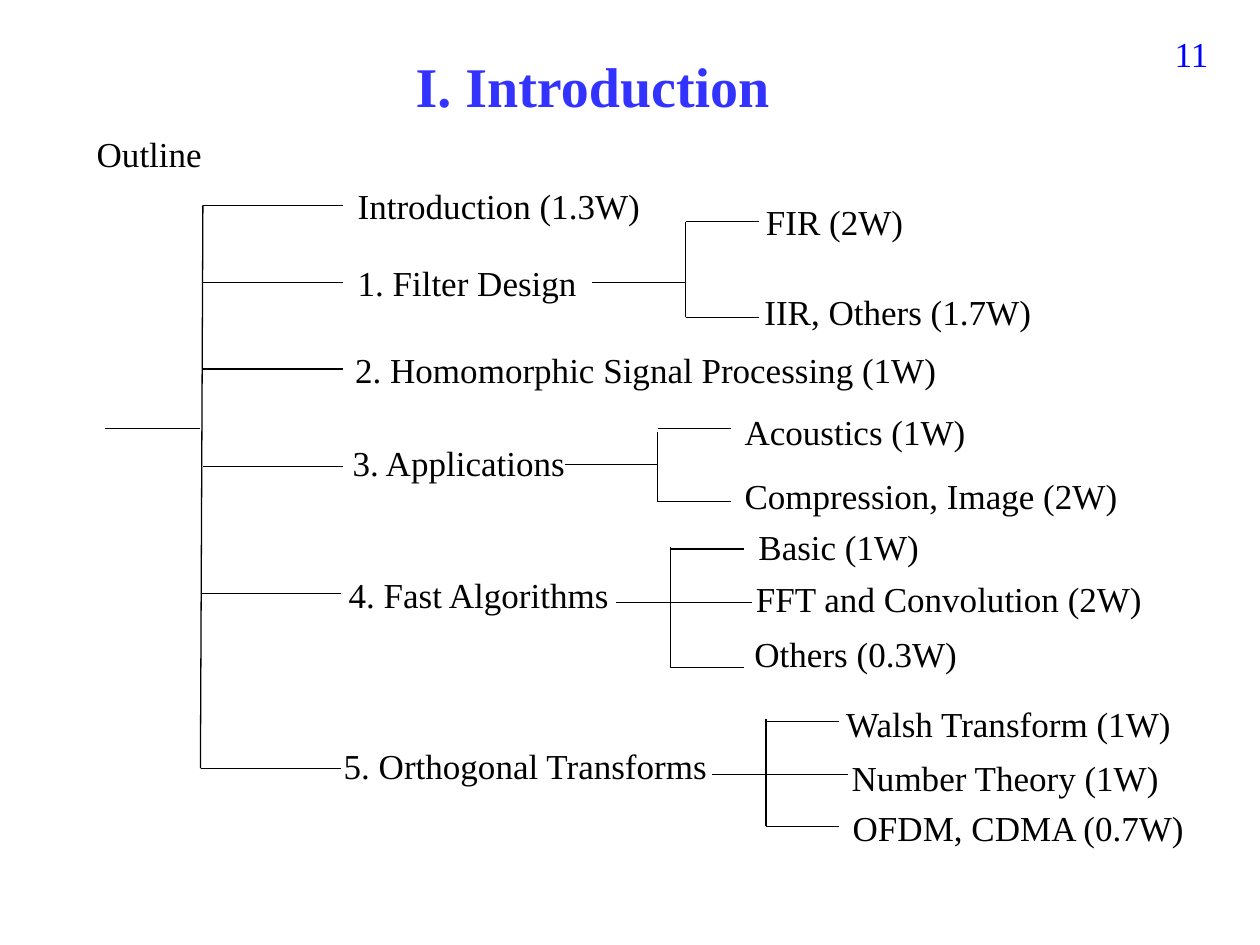
from dataclasses import dataclass

from lxml.etree import SubElement
from pptx import Presentation
from pptx.dml.color import RGBColor
from pptx.enum.shapes import MSO_CONNECTOR
from pptx.enum.text import MSO_ANCHOR, MSO_AUTO_SIZE, PP_ALIGN
from pptx.oxml.ns import qn
from pptx.util import Cm, Pt

FONT = "Times New Roman"
BLACK, BLUE, TITLE_BLUE = "000000", "0000FF", "3333FF"
LABEL_H = 1.12
TICK = 1.48
BRANCH = 2.82


# All lengths below are in centimetres
@dataclass
class Label:
    text: str
    x: float
    y: float
    w: float


@dataclass
class Topic:
    label: Label
    line_x: float
    line_y: float


@dataclass
class Bracket:
    stem_x: float
    stem_end: float
    stem_y: float
    spine_x: float
    top: float
    bottom: float
    ticks: tuple[float, ...]
    labels: list[Label]


def rgb(color: str) -> RGBColor:
    return RGBColor.from_string(color)


def add_text(s, label: Label, h: float = LABEL_H, size: float = 20,
             color: str = BLACK, bold: bool = False, align=PP_ALIGN.LEFT,
             anchor=MSO_ANCHOR.MIDDLE, wrap: bool = False):
    sp = s.shapes.add_textbox(Cm(label.x), Cm(label.y), Cm(label.w), Cm(h))
    tf = sp.text_frame
    tf.word_wrap = wrap
    tf.auto_size = MSO_AUTO_SIZE.SHAPE_TO_FIT_TEXT
    tf.vertical_anchor = anchor
    p = tf.paragraphs[0]
    p.alignment = align
    r = p.add_run()
    r.text = label.text
    r.font.name, r.font.size, r.font.bold = FONT, Pt(size), bold
    r.font.color.rgb = rgb(color)
    return p


def add_line(s, x1: float, y1: float, x2: float, y2: float) -> None:
    c = s.shapes.add_connector(MSO_CONNECTOR.STRAIGHT, Cm(x1), Cm(y1), Cm(x2), Cm(y2))
    c.line.color.rgb = rgb(BLACK)
    c.line.width = Pt(0.75)
    SubElement(c._element.spPr, qn("a:effectLst"))


def add_topic(s, topic: Topic) -> None:
    add_line(s, topic.line_x, topic.line_y, topic.line_x + BRANCH, topic.line_y)
    add_text(s, topic.label)


def add_bracket(s, b: Bracket) -> None:
    add_line(s, b.stem_x, b.stem_y, b.stem_end, b.stem_y)
    add_line(s, b.spine_x, b.top, b.spine_x, b.bottom)
    for y in b.ticks:
        add_line(s, b.spine_x, y, b.spine_x + TICK, y)
    for label in b.labels:
        add_text(s, label)


TOPICS = [
    Topic(Label("Introduction (1.3W)", 6.96, 3.58, 6.25), 4.09, 4.14),
    Topic(Label("1. Filter Design", 6.96, 5.13, 4.95), 4.09, 5.69),
    Topic(Label("2. Homomorphic Signal Processing (1W)", 6.91, 6.88, 12.32), 4.09, 7.44),
    Topic(Label("3. Applications", 6.86, 8.76, 5), 4.09, 9.4),
    Topic(Label("4. Fast Algorithms", 6.78, 11.43, 5.79), 4.06, 11.96),
    Topic(Label("5. Orthogonal Transforms", 6.68, 14.88, 8.05), 4.06, 15.49),
]

BRACKETS = [
    Bracket(11.94, 13.82, 5.69, 13.82, 4.47, 6.4, (4.47, 6.4), [
        Label("FIR (2W)", 15.19, 3.91, 3.3),
        Label("IIR, Others (1.7W)", 15.16, 5.72, 5.92),
    ]),
    Bracket(11.38, 13.26, 9.37, 13.26, 8.71, 10.11, (8.64, 10.11), [
        Label("Acoustics (1W)", 14.76, 8.13, 5),
        Label("Compression, Image (2W)", 14.76, 9.42, 8.08),
    ]),
    Bracket(12.42, 15.16, 12.14, 13.51, 11.02, 13.46, (11.07, 13.46), [
        Label("Basic (1W)", 15.04, 10.46, 3.78),
        Label("FFT and Convolution (2W)", 14.99, 11.51, 8.36),
        Label("Others (0.3W)", 14.96, 12.62, 4.8),
    ]),
    Bracket(14.35, 17.09, 15.62, 15.44, 14.5, 16.66, (14.55, 16.66), [
        Label("Walsh Transform (1W)", 16.81, 14.02, 7.26),
        Label("Number Theory (1W)", 16.92, 15.11, 6.76),
        Label("OFDM, CDMA (0.7W)", 16.94, 16.13, 7.24),
    ]),
]


def main() -> None:
    prs = Presentation()
    prs.slide_width, prs.slide_height = Cm(25.4), Cm(19.05)
    s = prs.slides.add_slide(prs.slide_layouts[6])

    # Page number, title and heading
    add_text(s, Label("11", 18.69, 0.53, 5.92), 1.32, color=BLUE,
             align=PP_ALIGN.RIGHT, anchor=MSO_ANCHOR.TOP, wrap=True)
    p = add_text(s, Label("I. Introduction ", 2.49, 0.91, 19.2), 1.6, 32, TITLE_BLUE,
                 True, PP_ALIGN.CENTER, MSO_ANCHOR.TOP, True)
    before = SubElement(p._p.get_or_add_pPr(), qn("a:spcBef"))
    SubElement(before, qn("a:spcPct"), val="50000")
    add_text(s, Label("Outline", 1.7, 2.54, 2.82))

    # Root and trunk
    add_line(s, 2.11, 8.64, 4.04, 8.64)
    add_line(s, 4.09, 4.14, 4.04, 15.49)

    # Topics and their subtopics
    for topic in TOPICS:
        add_topic(s, topic)
    for bracket in BRACKETS:
        add_bracket(s, bracket)

    prs.save("out.pptx")


if __name__ == "__main__":
    main()
